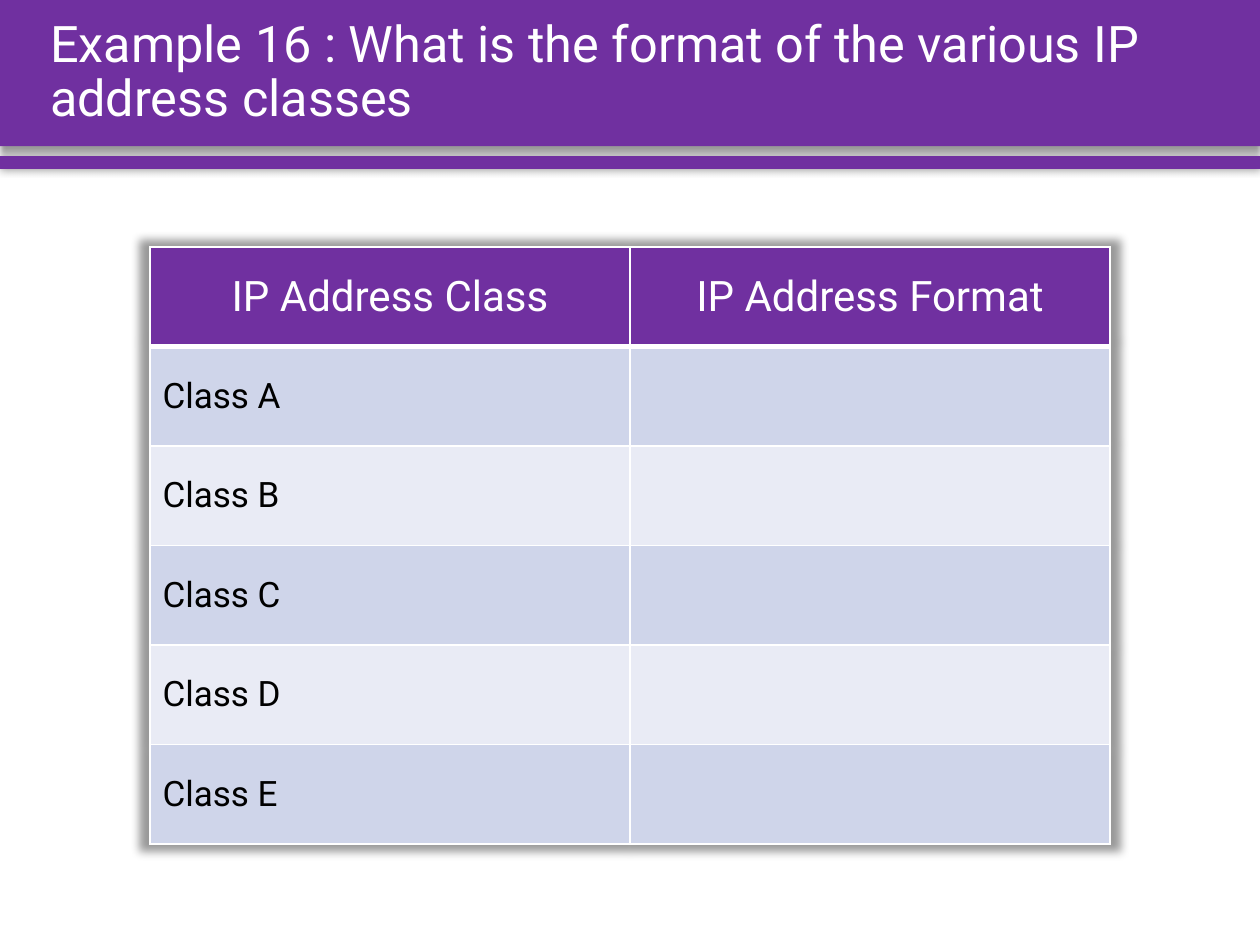
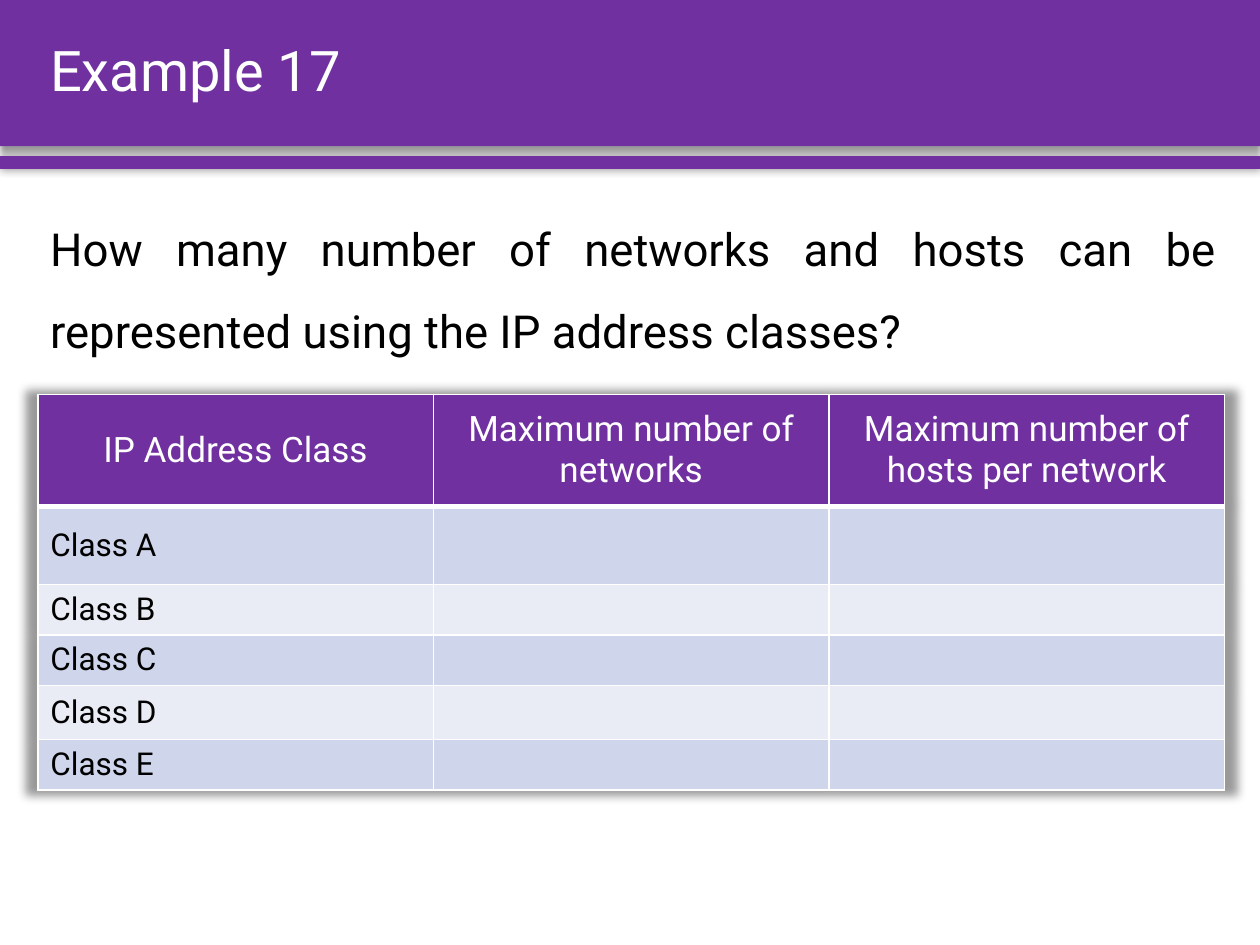
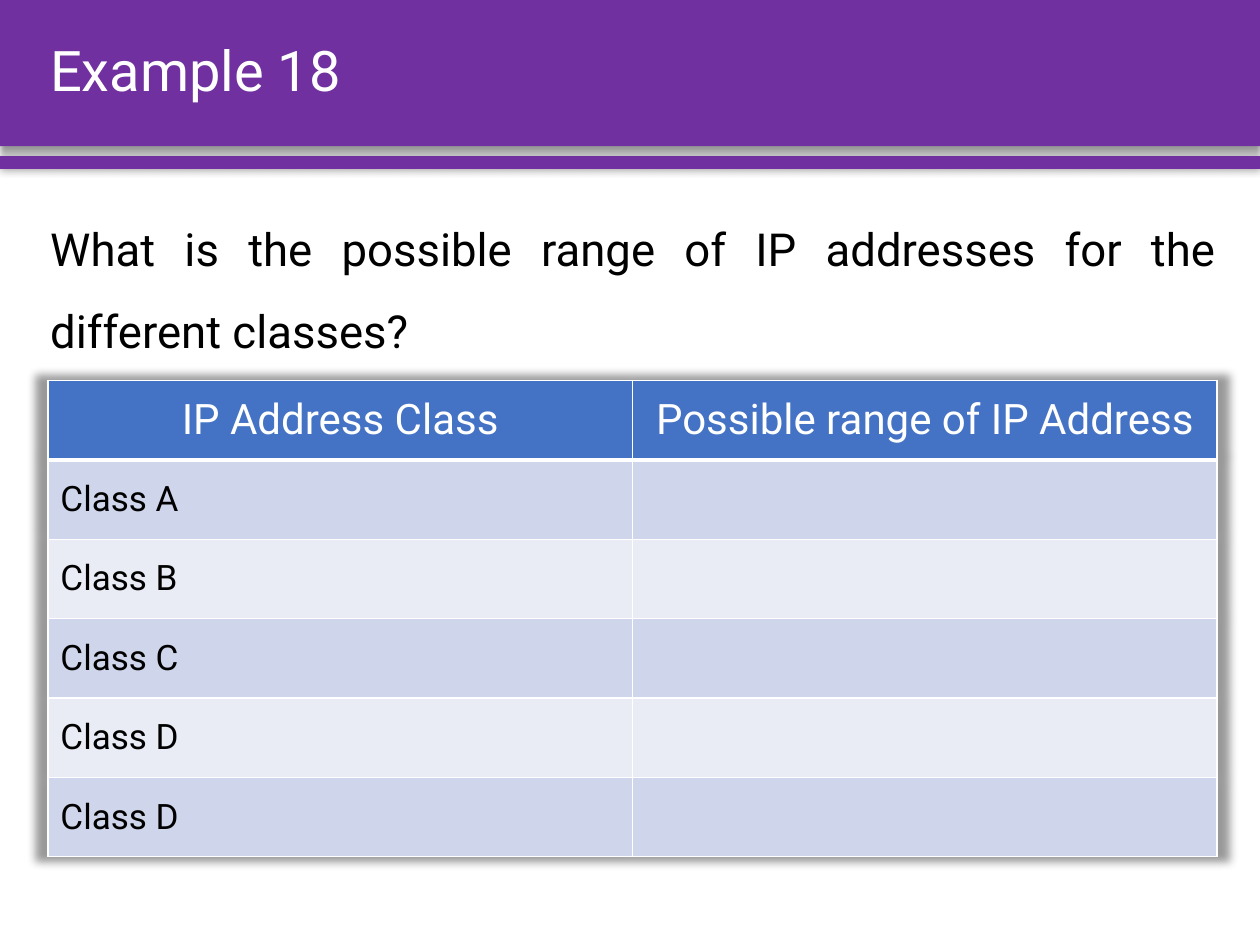
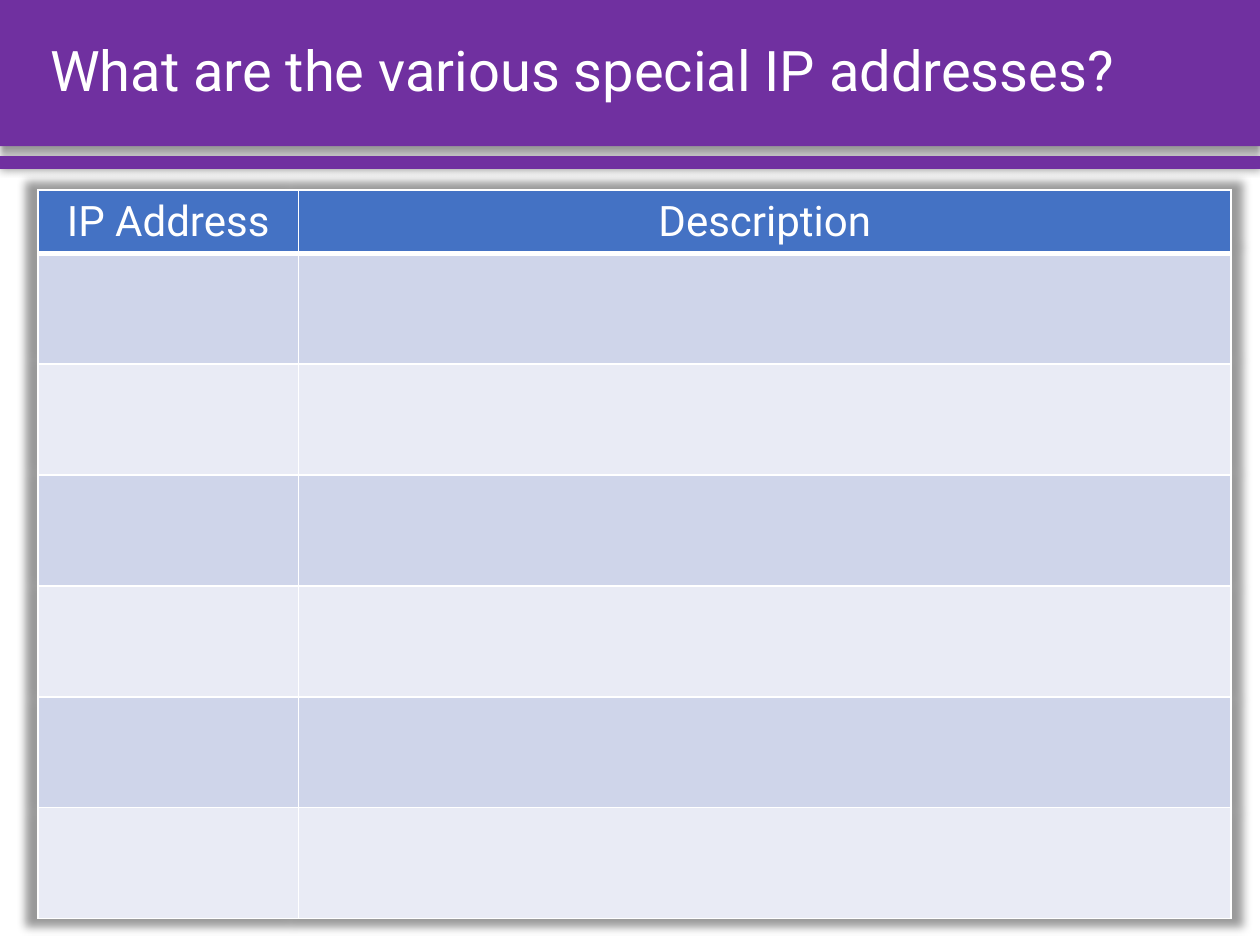
import pptx
import pptx.dml.color
import pptx.enum.shapes
import pptx.enum.text
import pptx.oxml
import pptx.oxml.ns
import pptx.util
from pptx.util import Inches

COLORS = {
    "purple": "7030A0",
    "blue": "4472C4",
    "band_dark": "CFD5EA",
    "band_light": "E9EBF5",
    "white": "FFFFFF",
    "black": "000000",
}
FONT = "Roboto"
NS = pptx.oxml.ns.nsdecls("a")
ALIGN = pptx.enum.text.PP_ALIGN
MIDDLE = pptx.enum.text.MSO_ANCHOR.MIDDLE
CLASSES = ["Class A", "Class B", "Class C", "Class D", "Class E"]

BANDS = [
    {"top": 0, "height": 1.16, "blur": 4, "dist": 3},
    {"top": 1.24, "height": 0.1, "blur": 5, "dist": 0},
]

SLIDES = [
    {
        "title": "Example 16 : What is the format of the various IP address classes",
        "title_size": 28.8,
        "at": (1.19, 1.96),
        "cols": [3.81, 3.81],
        "rows": [0.79] * 6,
        "header": ["IP Address Class", "IP Address Format"],
        "header_fill": "purple",
        "labels": CLASSES,
    },
    {
        "title": "Example 17",
        "question": "How many number of networks and hosts can be represented using the IP address classes?",
        "at": (0.3, 3.13),
        "cols": [3.14] * 3,
        "rows": [0.89, 0.62, 0.39, 0.39, 0.43, 0.39],
        "header": ["IP Address Class", "Maximum number of networks", "Maximum number of hosts per network"],
        "header_fill": "purple",
        "sizes": (20, 18),
        "labels": CLASSES,
    },
    {
        "title": "Example 18",
        "question": "What is the possible range of IP addresses for the different classes?",
        "at": (0.38, 3.02),
        "cols": [4.64, 4.64],
        "rows": [0.63] * 6,
        "header": ["IP Address Class", "Possible range of IP Address"],
        "header_fill": "blue",
        "labels": CLASSES[:4] + ["Class D"],
    },
    {
        "title": "What are the various special IP addresses?",
        "at": (0.3, 1.51),
        "cols": [2.07, 7.4],
        "rows": [0.49] + [0.88] * 6,
        "header": ["IP Address", "Description"],
        "header_fill": "blue",
        "labels": [""] * 6,
    },
]


def write(tf, text, size, color, align=ALIGN.LEFT, spacing=None):
    tf.word_wrap = True
    p = tf.paragraphs[0]
    p.text = text
    p.alignment = align
    p.line_spacing = spacing
    p.font.name = FONT
    p.font.size = pptx.util.Pt(size)
    p.font.color.rgb = pptx.dml.color.RGBColor.from_string(COLORS[color])


def add_shadow(parent, position, blur, dist=0, scale=100):
    parent.insert(position, pptx.oxml.parse_xml(
        f'<a:effectLst {NS}><a:outerShdw blurRad="{pptx.util.Pt(blur)}" dist="{pptx.util.Pt(dist)}" '
        f'dir="5400000" sx="{scale * 1000}" sy="{scale * 1000}" algn="ctr" rotWithShape="0">'
        f'<a:srgbClr val="{COLORS["black"]}"><a:alpha val="40000"/></a:srgbClr>'
        f'</a:outerShdw></a:effectLst>'))


prs = pptx.Presentation()
prs.slide_width = Inches(10)
prs.slide_height = Inches(7.5)

for data in SLIDES:
    s = prs.slides.add_slide(prs.slide_layouts[6])

    for band in BANDS:
        sp = s.shapes.add_shape(pptx.enum.shapes.MSO_SHAPE.RECTANGLE, 0, Inches(band["top"]),
                                prs.slide_width, Inches(band["height"]))
        sp.fill.solid()
        sp.fill.fore_color.rgb = pptx.dml.color.RGBColor.from_string(COLORS["purple"])
        sp.line.fill.background()
        props = sp.fill._xPr
        add_shadow(props, len(props), band["blur"], band["dist"])

    if "question" in data:
        body = s.shapes.add_textbox(Inches(0.3), Inches(1.49), Inches(9.46), Inches(5.46))
        write(body.text_frame, data["question"], 26, "black", ALIGN.JUSTIFY, 1.5)

    title = s.shapes.add_textbox(Inches(0.3), 0, Inches(9.46), Inches(1.16))
    title.text_frame.vertical_anchor = MIDDLE
    write(title.text_frame, data["title"], data.get("title_size", 32), "white", spacing=0.9)

    cols, rows = data["cols"], data["rows"]
    left, top = data["at"]
    table = s.shapes.add_table(len(rows), len(cols), Inches(left), Inches(top),
                               Inches(sum(cols)), Inches(sum(rows))).table
    table.first_row = False
    table.horz_banding = False
    add_shadow(table._tbl.tblPr, 0, 5, scale=102)
    for column, width in zip(table.columns, cols):
        column.width = Inches(width)
    for row, height in zip(table.rows, rows):
        row.height = Inches(height)

    header_size, label_size = data.get("sizes", (24, 20))
    for r, row in enumerate(table.rows):
        for c, cell in enumerate(row.cells):
            widths = {"L": 1, "R": 1, "T": 3 if r == 1 else 1, "B": 3 if r == 0 else 1}
            for side, width in widths.items():
                cell._tc.get_or_add_tcPr().append(pptx.oxml.parse_xml(
                    f'<a:ln{side} {NS} w="{pptx.util.Pt(width)}"><a:solidFill>'
                    f'<a:srgbClr val="{COLORS["white"]}"/></a:solidFill></a:ln{side}>'))
            cell.vertical_anchor = MIDDLE
            fill = data["header_fill"] if r == 0 else "band_dark" if r % 2 else "band_light"
            cell.fill.solid()
            cell.fill.fore_color.rgb = pptx.dml.color.RGBColor.from_string(COLORS[fill])
            if r == 0:
                write(cell.text_frame, data["header"][c], header_size, "white", ALIGN.CENTER)
            elif c == 0 and data["labels"][r - 1]:
                write(cell.text_frame, data["labels"][r - 1], label_size, "black")

prs.save("out.pptx")
